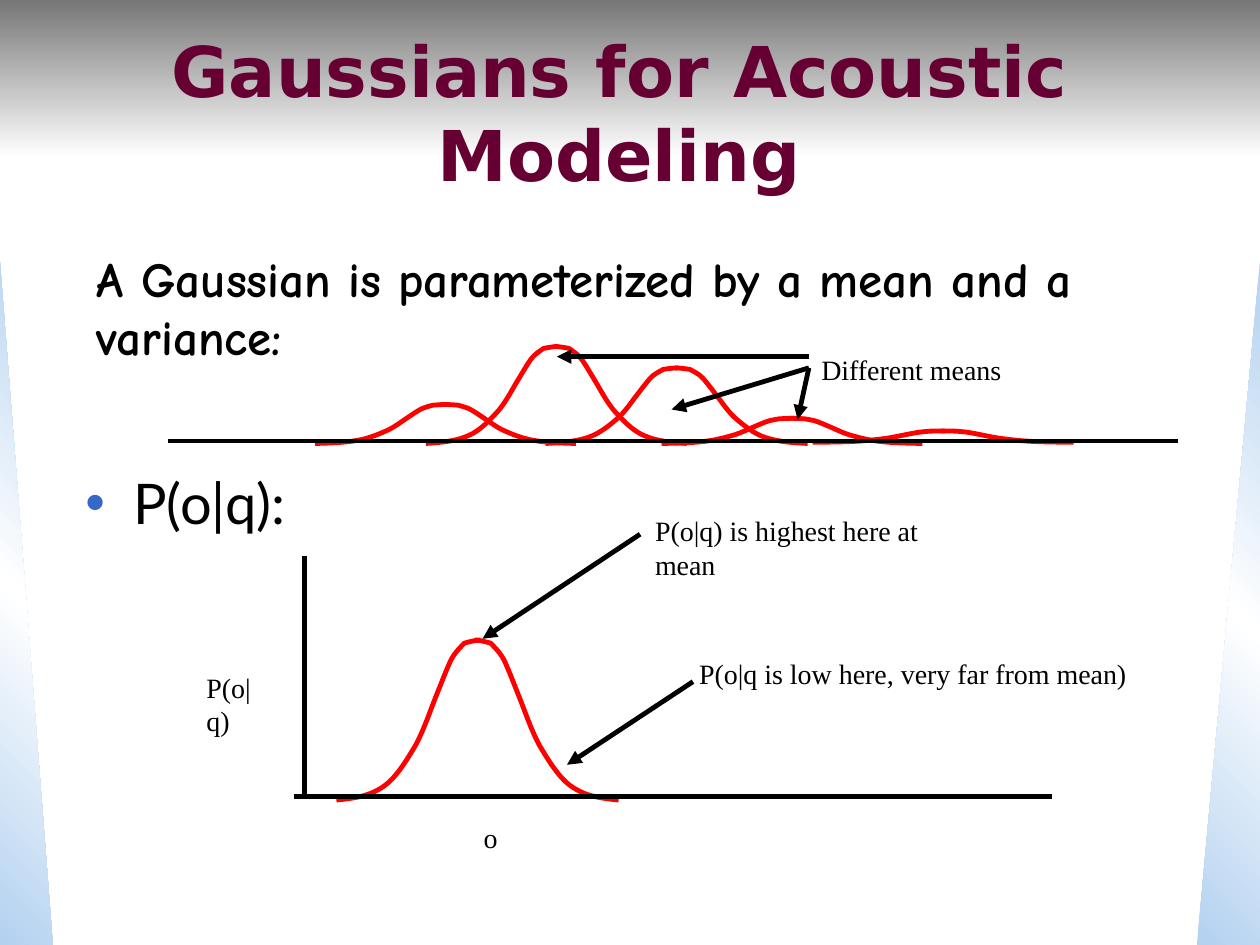
"""Build a slide on Gaussians for acoustic modeling."""
from lxml import etree
from pptx import Presentation
from pptx.dml.color import RGBColor
from pptx.enum import shapes, text
from pptx.oxml import parse_xml
from pptx.oxml.ns import nsdecls, qn
from pptx.util import Inches, Pt

rgb = RGBColor.from_string


def write(box, words, size=16, font="Times New Roman", color="000000", bold=False,
          align=text.PP_ALIGN.LEFT, wrap=False, grow=True, bullet=None):
    frame = box.text_frame
    frame.word_wrap = wrap
    fits = text.MSO_AUTO_SIZE
    frame.auto_size = fits.SHAPE_TO_FIT_TEXT if grow else fits.NONE
    para = frame.paragraphs[0]
    para.alignment = align
    if bullet:
        props = para._p.get_or_add_pPr()
        props.set("marL", str(Inches(0.38)))
        props.set("indent", str(Inches(-0.38)))
        tint = etree.SubElement(props, qn("a:buClr"))
        etree.SubElement(tint, qn("a:srgbClr")).set("val", bullet)
        etree.SubElement(props, qn("a:buFont")).set("typeface", "Arial")
        etree.SubElement(props, qn("a:buChar")).set("char", "•")
    run = para.add_run()
    run.text = words
    run.font.size = Pt(size)
    run.font.name = font
    run.font.bold = bold
    run.font.color.rgb = rgb(color)


deck = Presentation()
deck.slide_width, deck.slide_height = Inches(10), Inches(7.5)
slide = deck.slides.add_slide(deck.slide_layouts[5])
tree = slide.shapes

kinds = shapes.MSO_SHAPE
blues = ["B3D1F0", "FFFFFF", "B3D1F0"]
panels = [
    (kinds.RECTANGLE, (0, 0, 10, 1.25), ["777777", "FFFFFF"], 90, False),
    (kinds.RIGHT_TRIANGLE, (0, 2.08, 0.42, 5.42), blues, 135, False),
    (kinds.RIGHT_TRIANGLE, (9.5, 2.08, 0.5, 5.42), blues, 225, True),
]
for kind, place, hues, angle, flip in panels:
    panel = tree.add_shape(kind, *map(Inches, place))
    panel.shadow.inherit = False
    panel.line.fill.background()
    props = panel._element.spPr
    if flip:
        props.find(qn("a:xfrm")).set("flipH", "1")
    stops = "".join(
        f'<a:gs pos="{100000 * i // (len(hues) - 1)}"><a:srgbClr val="{hue}"/></a:gs>'
        for i, hue in enumerate(hues))
    props.find(qn("a:prstGeom")).addnext(parse_xml(
        f'<a:gradFill {nsdecls("a")} rotWithShape="1"><a:gsLst>{stops}</a:gsLst>'
        f'<a:lin ang="{angle * 60000}" scaled="0"/></a:gradFill>'))

title = tree.title
title.left, title.top, title.width, title.height = map(Inches, (0.25, 0.26, 9.33, 1.25))
title.text_frame.vertical_anchor = text.MSO_ANCHOR.MIDDLE
write(title, "Gaussians for Acoustic Modeling", size=40, font="DejaVu Sans",
      color="660033", bold=True, align=text.PP_ALIGN.CENTER, wrap=True, grow=False)
tree._spTree.append(title._element)

labels = [
    ("P(o|q):", (0.58, 3.67, 9, 5.17),
     dict(size=32, font="Lato", wrap=True, grow=False, bullet="3568C7")),
    ("A Gaussian is parameterized by a mean and a variance:", (0.67, 1.92, 8.58, 1.04),
     dict(size=28, font="Comic Neue", bold=True, wrap=True)),
    ("P(o|q)", (1.54, 5.27, 0.73, 0.37), {}),
    ("o", (3.74, 6.46, 0.31, 0.37), {}),
    ("P(o|q) is highest here at mean", (5.1, 4.03, 2.82, 0.37), {}),
    ("P(o|q is low here, very far from mean)", (5.45, 5.16, 3.59, 0.37), {}),
    ("Different means", (6.42, 2.75, 1.63, 0.37), {}),
]
for words, place, style in labels:
    write(tree.add_textbox(*map(Inches, place)), words, **style)

bell = [(0, 0), (0.11, 0.01), (0.22, 0.02), (0.32, 0.08), (0.41, 0.13), (0.49, 0.25),
        (0.55, 0.34), (0.61, 0.44), (0.65, 0.55), (0.69, 0.64), (0.73, 0.73),
        (0.76, 0.8), (0.79, 0.86), (0.82, 0.92), (0.86, 0.95), (0.89, 0.98),
        (0.93, 0.99), (0.97, 1), (1, 1)]
curves = [(2.67, 4.91, 6.35, 1.14, 1.27), (2.5, 4.57, 3.52, 1.05, 0.31),
          (3.38, 5.45, 3.52, 1.05, 0.77), (4.33, 6.41, 3.52, 1.05, 0.6),
          (5.25, 7.32, 3.52, 1.05, 0.2), (6.45, 8.52, 3.51, 1.05, 0.09)]
for left, right, base, wide, high in curves:
    for start, span in ((left, wide), (right, -wide)):
        dots = [(Inches(start + span * x), Inches(base - high * y)) for x, y in bell]
        pen = tree.build_freeform(*dots[0])
        pen.add_line_segments(dots[1:], close=False)
        half = pen.convert_to_shape()
        half.shadow.inherit = False
        half.fill.background()
        half.line.color.rgb = rgb("FF0000")
        half.line.width = Pt(2.75)
        steps = list(half._element.iter(qn("a:lnTo")))
        for k in range(0, len(steps), 3):
            bend = etree.SubElement(steps[k].getparent(), qn("a:cubicBezTo"))
            for step in steps[k:k + 3]:
                bend.append(step[0])
                step.getparent().remove(step)

lines = [
    ((2.33, 6.32, 8.35, 6.32), False), ((2.42, 6.32, 2.42, 4.41), False),
    ((1.33, 3.5, 9.35, 3.5), False), ((5.08, 4.24, 3.83, 5.07), True),
    ((5.5, 5.41, 4.5, 6.07), True), ((6.42, 2.92, 5.33, 3.25), True),
    ((6.42, 2.92, 6.33, 3.33), True), ((6.42, 2.83, 4.42, 2.83), True),
]
for ends, arrow in lines:
    line = tree.add_connector(shapes.MSO_CONNECTOR.STRAIGHT, *map(Inches, ends))
    line.line.color.rgb = rgb("000000")
    line.line.width = Pt(2.75)
    if arrow:
        stroke = line._element.spPr.find(qn("a:ln"))
        etree.SubElement(stroke, qn("a:tailEnd")).set("type", "triangle")
    etree.SubElement(line._element.spPr, qn("a:effectLst"))

deck.save("out.pptx")
